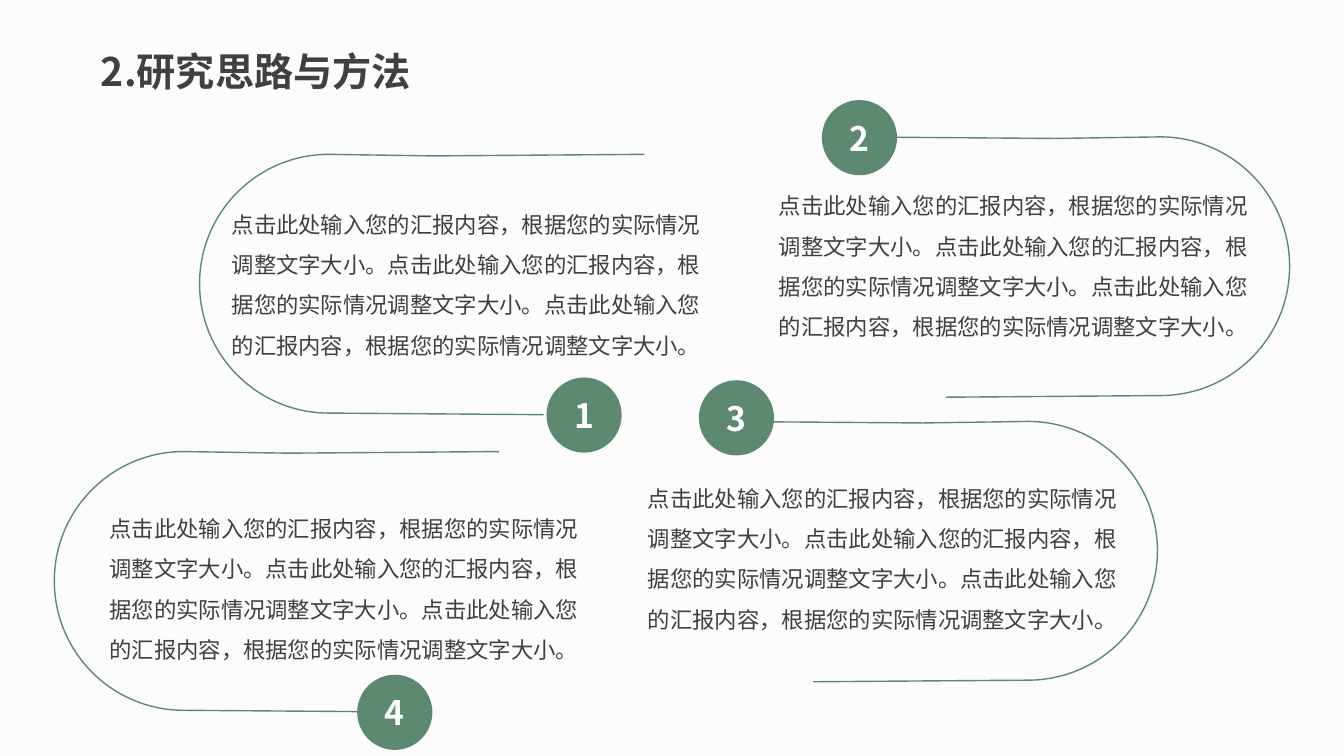
from collections import namedtuple
from lxml.etree import SubElement
from pptx import Presentation
from pptx.dml.color import RGBColor
from pptx.enum.shapes import MSO_SHAPE as Preset
from pptx.enum.text import MSO_ANCHOR as Anchor, MSO_AUTO_SIZE as AutoSize, PP_ALIGN as Align
from pptx.oxml.ns import qn
from pptx.util import Cm, Pt

COLORS = {"back": "FCFCFC", "green": "5D8971", "ink": "404040", "white": "FFFFFF"}
FONT = "Noto Sans CJK SC"
SENTENCE = "点击此处输入您的汇报内容，根据您的实际情况调整文字大小。"
TRACK_WIDTH, RADIUS, BADGE = 11.21, 3.26, 1.86
TEXT_WIDTH, TEXT_HEIGHT = 12.42, 4.24

Panel = namedtuple("Panel", "number left top opens_right badge text")
PANELS = [
    Panel("1", 5.03, 3.89, True, (8.76, 5.64), (0.56, 0.96)),
    Panel("2", 21.29, 3.45, False, (-0.56, -0.91), (-1.91, 0.94)),
    Panel("3", 17.96, 10.62, False, (-0.33, -1.02), (-1.88, 1.14)),
    Panel("4", 1.37, 11.38, True, (7.65, 5.64), (1.14, 1.14)),
]


def color(name):
    return RGBColor.from_string(COLORS[name])


def write(para, text, size, ink, bold=False):
    para.text = text
    para.font.size = Pt(size)
    para.font.bold = bold
    para.font.name = FONT
    para.font.color.rgb = color(ink)
    defaults = para.font._element if hasattr(para.font, "_element") else para._p.pPr.find(qn("a:defRPr"))
    SubElement(defaults, qn("a:ea"), typeface=FONT)


def add_title(page, left, top, width, height):
    title = page.shapes.title
    title.left, title.top, title.width, title.height = Cm(left), Cm(top), Cm(width), Cm(height)
    frame = title.text_frame
    frame.word_wrap = True
    frame.auto_size = AutoSize.NONE
    frame.vertical_anchor = Anchor.TOP
    para = frame.paragraphs[0]
    para.alignment = Align.LEFT
    write(para, "2.研究思路与方法", 28, "ink", True)


def add_track(page, left, top, opens_right):
    bend = TRACK_WIDTH - RADIUS
    pull = RADIUS * 0.5523
    outline = [
        (0, 0), (5.31, 0.04), (bend, 0),
        (bend + pull, 0), (TRACK_WIDTH, RADIUS - pull), (TRACK_WIDTH, RADIUS),
        (TRACK_WIDTH, RADIUS + pull), (bend + pull, 2 * RADIUS), (bend, 2 * RADIUS),
        (2.54, 2 * RADIUS + 0.04),
    ]
    points = [
        (Cm(left + (TRACK_WIDTH - x if opens_right else x)), Cm(top + y))
        for x, y in outline
    ]
    builder = page.shapes.build_freeform(*points[0])
    builder.add_line_segments(points[1:], close=False)
    track = builder.convert_to_shape()
    segments = list(track.element.iter(qn("a:lnTo")))
    for start in (2, 5):
        curve, *rest = segments[start:start + 3]
        curve.tag = qn("a:cubicBezTo")
        for segment in rest:
            curve.append(segment[0])
            segment.getparent().remove(segment)
    track.shadow.inherit = False
    track.fill.background()
    track.line.color.rgb = color("green")
    track.line.width = Pt(1)


def add_badge(page, left, top, number):
    badge = page.shapes.add_shape(Preset.OVAL, Cm(left), Cm(top), Cm(BADGE), Cm(BADGE))
    badge.shadow.inherit = False
    badge.fill.solid()
    badge.fill.fore_color.rgb = color("green")
    badge.line.color.rgb = color("green")
    badge.line.width = Pt(1)
    badge.text_frame.vertical_anchor = Anchor.MIDDLE
    para = badge.text_frame.paragraphs[0]
    para.alignment = Align.CENTER
    write(para, number, 24, "white", True)


def add_body(page, left, top):
    box = page.shapes.add_textbox(Cm(left), Cm(top), Cm(TEXT_WIDTH), Cm(TEXT_HEIGHT))
    box.text_frame.word_wrap = True
    box.text_frame.auto_size = AutoSize.SHAPE_TO_FIT_TEXT
    para = box.text_frame.paragraphs[0]
    para.line_spacing = 1.5
    write(para, SENTENCE * 3, 16, "ink")


def add_panel(page, panel):
    add_track(page, panel.left, panel.top, panel.opens_right)
    add_badge(page, panel.left + panel.badge[0], panel.top + panel.badge[1], panel.number)
    add_body(page, panel.left + panel.text[0], panel.top + panel.text[1])


def main():
    deck = Presentation()
    deck.slide_width, deck.slide_height = Cm(33.87), Cm(19.05)
    page = deck.slides.add_slide(deck.slide_layouts[5])
    page.background.fill.solid()
    page.background.fill.fore_color.rgb = color("back")
    add_title(page, 2.29, 1.07, 8.51, 1.45)
    for panel in PANELS:
        add_panel(page, panel)
    deck.save("out.pptx")


if __name__ == "__main__":
    main()
